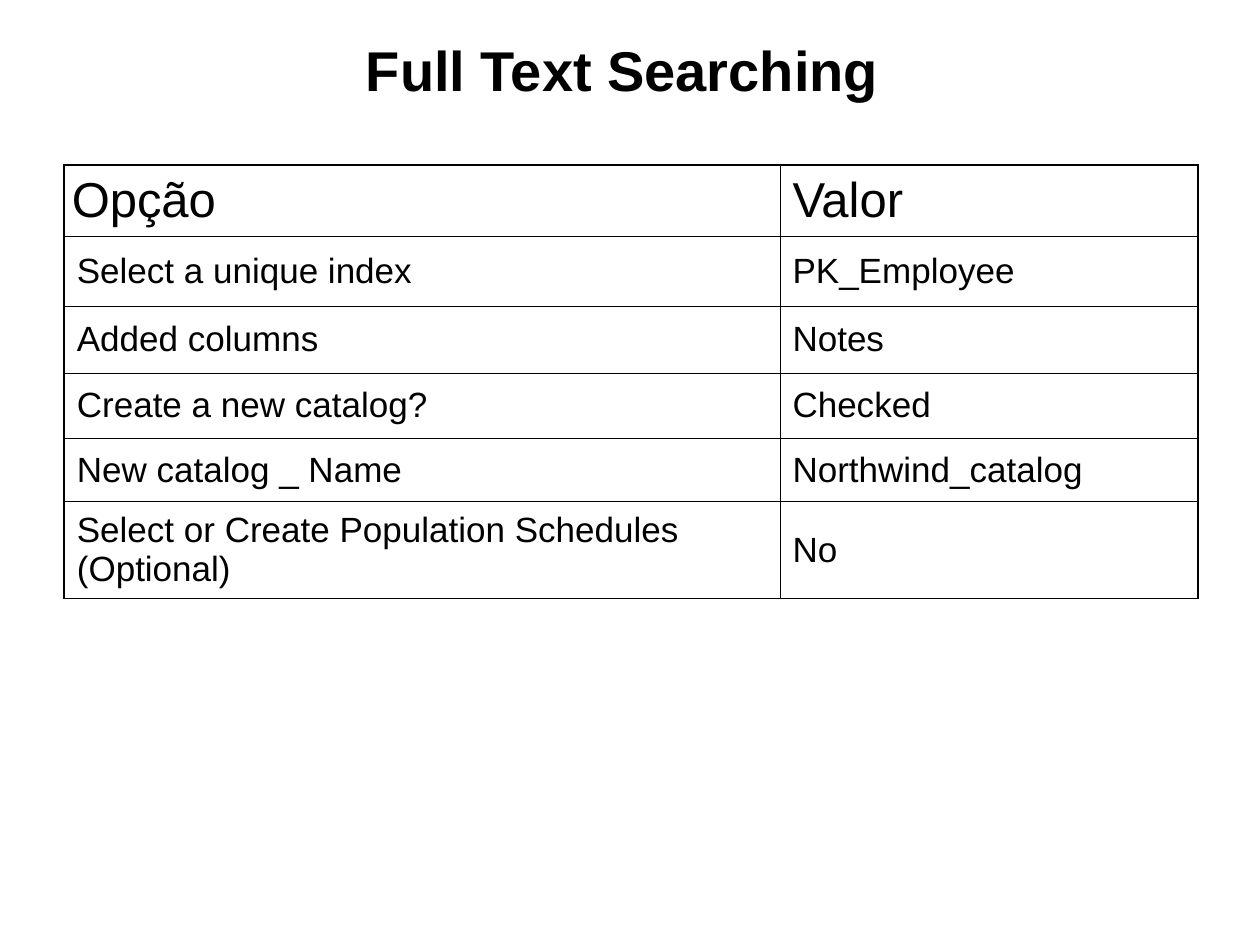
from typing import NamedTuple

from lxml import etree
from pptx import Presentation
from pptx.dml.color import RGBColor
from pptx.enum.text import MSO_ANCHOR, MSO_AUTO_SIZE, PP_ALIGN
from pptx.oxml.ns import qn
from pptx.util import Inches, Pt

MIDDLE = MSO_ANCHOR.MIDDLE
CENTER = PP_ALIGN.CENTER
GROW = MSO_AUTO_SIZE.SHAPE_TO_FIT_TEXT

COLORS = {"text": "000000", "border": "000000"}
FONT = "Arial"
OUTER_LINE, INNER_LINE = Pt(1.08), Pt(0.45)
COLUMN_WIDTHS = (5.68, 3.32)


class OptionRow(NamedTuple):
    option: str
    value: str
    height: float
    size: int = 20
    space_before: int = 5


ROWS = (
    OptionRow("Opção", "Valor", 0.57, 28, 7),
    OptionRow("Select a unique index", "PK_Employee", 0.55),
    OptionRow("Added columns", "Notes", 0.53),
    OptionRow("Create a new catalog?", "Checked", 0.52),
    OptionRow("New catalog _ Name", "Northwind_catalog", 0.5),
    OptionRow("Select or Create Population Schedules (Optional)", "No", 0.77),
)


def write_text(para, text: str, size: int, bold: bool = False) -> None:
    span = para.add_run()
    span.text = text
    formats = {"name": FONT, "size": Pt(size), "bold": bold}
    for name, value in formats.items():
        setattr(span.font, name, value)
    span.font.color.rgb = RGBColor.from_string(COLORS["text"])


def set_borders(cell, widths: dict[str, int]) -> None:
    """Put border lines ahead of the fill, in the order the schema requires."""
    properties = cell._tc.get_or_add_tcPr()
    for index, (side, width) in enumerate(widths.items()):
        line = etree.Element(qn(f"a:ln{side}"), w=str(width))
        fill = etree.SubElement(line, qn("a:solidFill"))
        etree.SubElement(fill, qn("a:srgbClr"), val=COLORS["border"])
        properties.insert(index, line)


def add_title(page, text: str) -> None:
    box = page.shapes.add_textbox(Inches(2.79), Inches(0.23), Inches(4.3), Inches(0.64))
    box.text_frame.word_wrap = False
    box.text_frame.auto_size = GROW
    para = box.text_frame.paragraphs[0]
    para.alignment = CENTER
    write_text(para, text, 32, bold=True)


def add_option_table(page, rows: tuple[OptionRow, ...]) -> None:
    frame = page.shapes.add_table(
        len(rows), len(COLUMN_WIDTHS), Inches(0.51), Inches(1.31),
        Inches(sum(COLUMN_WIDTHS)), Inches(sum(row.height for row in rows)))
    table = frame.table
    table.first_row = table.horz_banding = False
    for column, width in zip(table.columns, COLUMN_WIDTHS):
        column.width = Inches(width)

    last_row, last_column = len(rows) - 1, len(COLUMN_WIDTHS) - 1
    for row_index, row in enumerate(rows):
        table.rows[row_index].height = Inches(row.height)
        for column_index, text in enumerate((row.option, row.value)):
            cell = table.cell(row_index, column_index)
            cell.fill.background()
            cell.vertical_anchor = MIDDLE
            para = cell.text_frame.paragraphs[0]
            para.space_before = Pt(row.space_before)
            write_text(para, text, row.size)
            on_edge = {"L": column_index == 0, "R": column_index == last_column,
                       "T": row_index == 0, "B": row_index == last_row}
            set_borders(cell, {side: OUTER_LINE if outer else INNER_LINE
                               for side, outer in on_edge.items()})
    first_cell = table.cell(0, 0)
    first_cell.margin_left = first_cell.margin_right = Inches(0.06)


def main() -> None:
    deck = Presentation()
    deck.slide_width, deck.slide_height = Inches(10), Inches(7.5)
    page = deck.slides.add_slide(deck.slide_layouts[6])
    add_option_table(page, ROWS)
    add_title(page, "Full Text Searching")
    deck.save("out.pptx")


if __name__ == "__main__":
    main()
